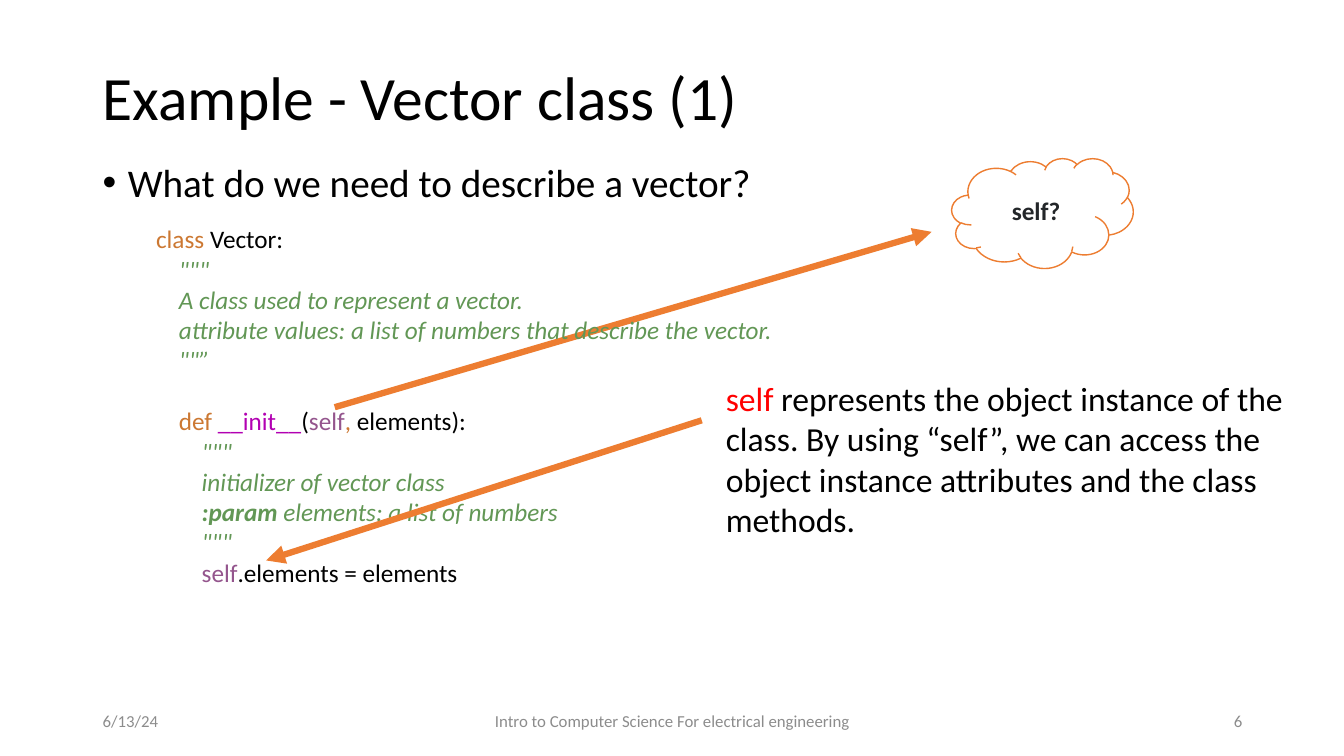
from lxml.etree import SubElement
from pptx import Presentation
from pptx.dml.color import RGBColor
from pptx.enum.shapes import MSO_CONNECTOR, MSO_SHAPE
from pptx.enum.text import MSO_ANCHOR as ANCHOR, PP_ALIGN as ALIGN
from pptx.oxml.ns import qn
from pptx.util import Inches, Pt

BLACK, GRAY, ORANGE = "000000", "8C8C8C", "ED7D31"
KEYWORD, DOCSTRING, SELF, MAGIC = "CC7832", "629755", "94558D", "B200B2"

prs = Presentation()
prs.slide_width, prs.slide_height = Inches(13.33), Inches(7.5)
slide = prs.slides.add_slide(prs.slide_layouts[6])
shapes = slide.shapes


def add_text(box, lines, size, align=ALIGN.LEFT, anchor=ANCHOR.TOP):
    """Fill a shape with lines, each a list of (text, colour, style letters) runs."""
    frame = box.text_frame
    frame.word_wrap = True
    frame.vertical_anchor = anchor
    for number, line in enumerate(lines):
        paragraph = frame.paragraphs[0] if number == 0 else frame.add_paragraph()
        paragraph.alignment = align
        for text, color, style in line:
            run = paragraph.add_run()
            run.text = text
            run.font.name = "Calibri"
            run.font.size = Pt(size)
            run.font.bold = "b" in style
            run.font.italic = "i" in style
            run.font.color.rgb = RGBColor.from_string(color)
    return frame.paragraphs


def add_arrow(x1, y1, x2, y2):
    arrow = shapes.add_connector(
        MSO_CONNECTOR.STRAIGHT, Inches(x1), Inches(y1), Inches(x2), Inches(y2))
    arrow.line.color.rgb = RGBColor.from_string(ORANGE)
    arrow.line.width = Pt(4.5)
    SubElement(arrow.line._get_or_add_ln(), qn("a:tailEnd"), type="triangle")
    SubElement(arrow._element.spPr, qn("a:effectLst"))


# Title and question
title = shapes.add_textbox(Inches(0.92), Inches(0.27), Inches(11.5), Inches(1.45))
title_line = add_text(title, [[("Example - Vector class (1)", BLACK, "")]], 44,
                      anchor=ANCHOR.MIDDLE)[0]
title_line.line_spacing = 0.9

question = shapes.add_textbox(Inches(0.92), Inches(1.57), Inches(11.5), Inches(0.6))
question_line = add_text(
    question, [[("What do we need to describe a vector?", BLACK, "")]], 28)[0]
question_line.line_spacing = 0.9
question_line.space_before = Pt(10)
bullet_props = question_line._p.get_or_add_pPr()
bullet_props.set("marL", str(Inches(0.25)))
bullet_props.set("indent", str(-Inches(0.25)))
SubElement(bullet_props, qn("a:buFont"), typeface="Arial")
SubElement(bullet_props, qn("a:buChar"), char="•")

# Footer
footer = [
    (0.92, 3, "6/13/24", ALIGN.LEFT),
    (4.42, 4.5, "Intro to Computer Science For electrical engineering", ALIGN.CENTER),
    (9.42, 3, "6", ALIGN.RIGHT),
]
for left, width, text, align in footer:
    field = shapes.add_textbox(Inches(left), Inches(6.95), Inches(width), Inches(0.4))
    add_text(field, [[(text, GRAY, "")]], 12, align, ANCHOR.MIDDLE)

# Cloud
cloud = shapes.add_shape(
    MSO_SHAPE.CLOUD, Inches(9.44), Inches(1.57), Inches(1.8), Inches(1.09))
cloud.shadow.inherit = False
cloud.fill.solid()
cloud.fill.fore_color.rgb = RGBColor.from_string("FFFFFF")
cloud.line.color.rgb = RGBColor.from_string(ORANGE)
cloud.line.width = Pt(1)
add_text(cloud, [[("self?", "232629", "b")]], 18, ALIGN.CENTER, ANCHOR.MIDDLE)

add_arrow(3.32, 4.04, 9.24, 2.3)

# Code: indent level and runs of each line
code = [
    (0, [("class ", KEYWORD, ""), ("Vector:", BLACK, "")]),
    (1, [('"""', DOCSTRING, "i")]),
    (1, [("A class used to represent a vector.", DOCSTRING, "i")]),
    (1, [("attribute values: a list of numbers that describe the vector.",
          DOCSTRING, "i")]),
    (1, [('""”', DOCSTRING, "i")]),
    (1, [("def ", KEYWORD, ""), ("__init__", MAGIC, ""), ("(", BLACK, ""),
         ("self", SELF, ""), (", ", KEYWORD, ""), ("elements):", BLACK, "")]),
    (2, [('"""', DOCSTRING, "i")]),
    (2, [("initializer of vector class", DOCSTRING, "i")]),
    (2, [(":param", DOCSTRING, "bi"), (" elements: a list of numbers", DOCSTRING, "i")]),
    (2, [('"""', DOCSTRING, "i")]),
    (2, [("self", SELF, ""), (".elements = elements", BLACK, "")]),
]
listing = shapes.add_textbox(Inches(1.45), Inches(2.17), Inches(6.67), Inches(3.74))
code_lines = add_text(listing, [runs for _, runs in code], 18)
for (level, runs), code_line in zip(code, code_lines):
    code_line._p.get_or_add_pPr().set("marL", str(Inches(0.226 * level)))
    if runs[0][0] == "def ":
        code_line.space_before = Pt(22)

# Explanation
explanation = shapes.add_textbox(Inches(7.1), Inches(3.7), Inches(5.78), Inches(1.72))
add_text(explanation, [[
    ("self", "FF0000", ""),
    (" represents the object instance of the class. By using “self”, we can access "
     "the object instance attributes and the class methods.", BLACK, ""),
]], 24)

add_arrow(6.96, 4.17, 2.64, 5.56)

prs.save("out.pptx")
